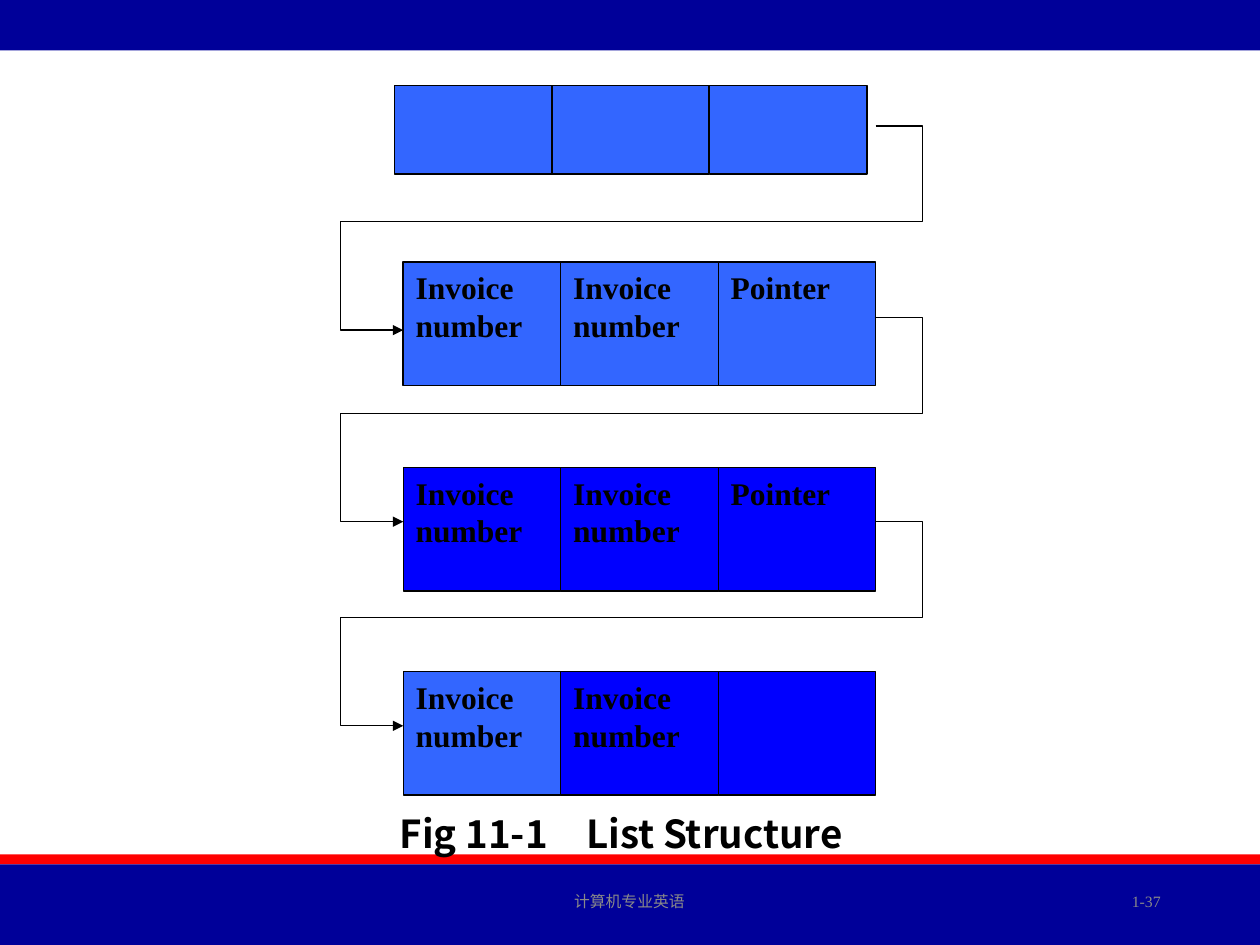
from dataclasses import dataclass

from lxml.etree import SubElement
from pptx import Presentation
from pptx.dml.color import RGBColor
from pptx.enum.shapes import MSO_SHAPE
from pptx.enum.text import MSO_ANCHOR as Anchor, MSO_AUTO_SIZE, PP_ALIGN as Align
from pptx.oxml.ns import qn
from pptx.util import Inches, Pt

COLORS = {
    "navy": "000099",
    "red": "FF0000",
    "light": "3366FF",
    "blue": "0000FF",
    "black": "000000",
    "gray": "898989",
}
SERIF = "Times New Roman"
SANS = "Noto Sans CJK SC"
CELL_W = 1.25
LINK_LEFT, LINK_RIGHT = 2.7, 7.32
NODE_LEFT, NODE_RIGHT = 3.2, 6.95
INVOICE = "Invoice\nnumber"


@dataclass
class Cell:
    text: str = ""
    fill: str = "light"
    line: float = 0.75


@dataclass
class Node:
    left: float
    top: float
    height: float
    cells: list[Cell]


@dataclass
class Bar:
    top: float
    height: float
    fill: str


BARS = [Bar(6.78, 0.08, "red"), Bar(6.86, 0.64, "navy"), Bar(0, 0.4, "navy")]
NODES = [
    Node(3.13, 0.68, 0.7, [Cell(line=1) for _ in range(3)]),
    Node(NODE_LEFT, 2.08, 0.98, [Cell(INVOICE, line=1), Cell(INVOICE), Cell("Pointer")]),
    Node(NODE_LEFT, 3.71, 0.98,
         [Cell(INVOICE, "blue"), Cell(INVOICE, "blue"), Cell("Pointer", "blue")]),
    Node(NODE_LEFT, 5.33, 0.98, [Cell(INVOICE), Cell(INVOICE, "blue"), Cell("", "blue")]),
]
LINK_STARTS = [1, 2.52, 4.14]


def rgb(name: str) -> RGBColor:
    return RGBColor.from_string(COLORS[name])


def write(sp, text: str, *, size: float, font: str = SERIF, color: str = "black",
          bold: bool = False, align=Align.LEFT, anchor=Anchor.TOP) -> None:
    """Fill a shape with text, one paragraph for each line."""
    tf = sp.text_frame
    tf.word_wrap = True
    tf.auto_size = MSO_AUTO_SIZE.NONE
    tf.vertical_anchor = anchor
    tf.text = text
    for p in tf.paragraphs:
        p.alignment = align
        for r in p.runs:
            r.font.name = font
            r.font.size = Pt(size)
            r.font.bold = bold
            r.font.color.rgb = rgb(color)
            SubElement(r.font._element, qn("a:ea")).set("typeface", SANS)


def add_rect(s, left: float, top: float, width: float, height: float,
             fill: str, line: float = 0):
    sp = s.shapes.add_shape(MSO_SHAPE.RECTANGLE, Inches(left), Inches(top),
                            Inches(width), Inches(height))
    sp.shadow.inherit = False
    sp.fill.solid()
    sp.fill.fore_color.rgb = rgb(fill)
    if line:
        sp.line.color.rgb = rgb("black")
        sp.line.width = Pt(line)
    else:
        sp.line.fill.background()
    return sp


def add_node(s, node: Node) -> None:
    for i, cell in enumerate(node.cells):
        sp = add_rect(s, node.left + i * CELL_W, node.top, CELL_W, node.height,
                      cell.fill, cell.line)
        if cell.text:
            write(sp, cell.text, size=18, bold=True, align=Align.JUSTIFY)


def add_link(s, top: float) -> None:
    """Draw the bent arrow from one node's right side to the next node's left."""
    middle, bottom = top + 0.76, top + 1.62
    corners = [(LINK_RIGHT, top), (LINK_RIGHT, middle), (LINK_LEFT, middle),
               (LINK_LEFT, bottom), (NODE_LEFT, bottom)]
    builder = s.shapes.build_freeform(Inches(NODE_RIGHT), Inches(top))
    builder.add_line_segments([(Inches(x), Inches(y)) for x, y in corners], close=False)
    sp = builder.convert_to_shape()
    sp.shadow.inherit = False
    sp.fill.background()
    sp.line.color.rgb = rgb("black")
    sp.line.width = Pt(0.75)
    SubElement(sp.line._get_or_add_ln(), qn("a:tailEnd")).set("type", "triangle")


def add_footer(s, text: str, left: float, width: float, align) -> None:
    box = s.shapes.add_textbox(Inches(left), Inches(6.95), Inches(width), Inches(0.4))
    write(box, text, size=9, color="gray", align=align, anchor=Anchor.MIDDLE)


def add_caption(s, text: str) -> None:
    """Set the title below the list, in front of the red bar."""
    title = s.shapes.title
    title.left, title.top = Inches(0.93), Inches(6.38)
    title.width, title.height = Inches(8), Inches(0.47)
    write(title, text, size=22, font=SANS, bold=True, align=Align.CENTER,
          anchor=Anchor.MIDDLE)
    title.element.getparent().append(title.element)


def main() -> None:
    prs = Presentation()
    prs.slide_width, prs.slide_height = Inches(10), Inches(7.5)
    s = prs.slides.add_slide(prs.slide_layouts[5])
    for bar in BARS:
        add_rect(s, 0, bar.top, 10, bar.height, bar.fill)
    add_footer(s, "计算机专业英语", 3.31, 3.37, Align.CENTER)
    add_footer(s, "1-37", 7.06, 2.25, Align.RIGHT)
    for node in NODES:
        add_node(s, node)
    for top in LINK_STARTS:
        add_link(s, top)
    add_caption(s, "Fig 11-1　List Structure")
    prs.save("out.pptx")


if __name__ == "__main__":
    main()
